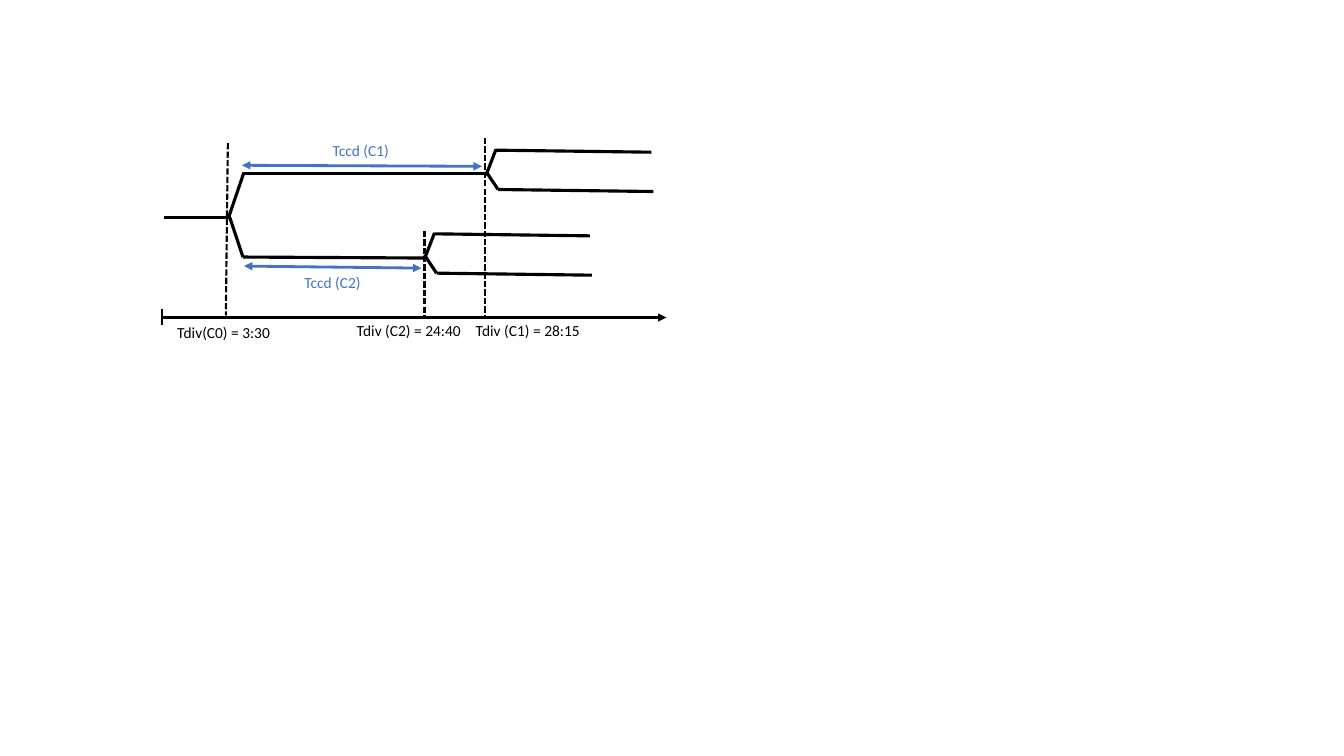
from lxml import etree
from pptx import Presentation
from pptx.dml.color import RGBColor
from pptx.enum.dml import MSO_LINE_DASH_STYLE as DASH
from pptx.enum.shapes import MSO_CONNECTOR as CONNECTOR
from pptx.enum.text import MSO_AUTO_SIZE as AUTO_SIZE
from pptx.oxml.ns import qn
from pptx.util import Inches, Pt

BLACK = RGBColor(0x00, 0x00, 0x00)
BLUE = RGBColor(0x44, 0x72, 0xC4)
BRANCH_WIDTH = 2.25
AXIS_WIDTH = 1.5
AXIS_Y = 3.15
LABEL_HEIGHT = 0.29

STEM_AND_CELLS = [
    (1.63, 2.16, 2.29, 2.16),
    (2.27, 2.15, 2.42, 1.71),
    (2.41, 2.55, 2.28, 2.16),
    (2.42, 1.72, 4.81, 1.72),
    (2.41, 2.55, 4.22, 2.56),
]
FORK_NODES = [(4.82, 1.72), (4.21, 2.55)]
FORK_OFFSETS = [
    (0, 0.02, 0.1, -0.24),
    (0.12, 0.16, 0, -0.02),
    (0.1, -0.23, 1.64, -0.21),
    (0.12, 0.16, 1.66, 0.18),
]
CYCLE_SPANS = [(2.42, 2.64, 4.18, 2.66), (2.4, 1.64, 4.78, 1.65)]
DIVISION_MARKS = [(2.26, 1.42, 2.24), (4.21, 2.29, 4.21), (4.81, 1.37, 4.81)]
LABELS = [
    ("Tdiv(C0) = 3:30", 1.66, 3.16, 1.16, BLACK, True),
    ("Tdiv (C2) = 24:40", 3.44, 3.14, 1.26, BLACK, True),
    ("Tdiv (C1) = 28:15", 4.62, 3.14, 1.26, BLACK, False),
    ("Tccd (C2)", 2.92, 2.66, 0.78, BLUE, False),
    ("Tccd (C1)", 3.2, 1.35, 0.78, BLUE, False),
]


def add_line(slide, points, width, color=BLACK, dash=None, arrows=()):
    connector = slide.shapes.add_connector(
        CONNECTOR.STRAIGHT, *(Inches(value) for value in points))
    connector.line.color.rgb = color
    connector.line.width = Pt(width)
    if dash:
        connector.line.dash_style = dash
    properties = connector._element.spPr
    outline = properties.find(qn("a:ln"))
    for end in arrows:
        etree.SubElement(outline, qn(f"a:{end}"), type="triangle")
    etree.SubElement(properties, qn("a:effectLst"))


def add_fork(slide, node_x, node_y):
    for x1, y1, x2, y2 in FORK_OFFSETS:
        add_line(slide, (node_x + x1, node_y + y1, node_x + x2, node_y + y2),
                 BRANCH_WIDTH)


def add_label(slide, text, left, top, width, color, wraps):
    box = slide.shapes.add_textbox(
        Inches(left), Inches(top), Inches(width), Inches(LABEL_HEIGHT))
    frame = box.text_frame
    frame.word_wrap = wraps
    frame.auto_size = AUTO_SIZE.SHAPE_TO_FIT_TEXT
    paragraph = frame.paragraphs[0]
    paragraph.text = text
    paragraph.font.name = "Calibri"
    paragraph.font.size = Pt(11)
    paragraph.font.color.rgb = color


def add_time_axis(slide):
    add_line(slide, (1.61, AXIS_Y, 6.61, AXIS_Y), AXIS_WIDTH, arrows=("tailEnd",))
    add_line(slide, (1.61, 3.07, 1.61, 3.22), AXIS_WIDTH)


def main():
    presentation = Presentation()
    presentation.slide_width = Inches(13.33)
    presentation.slide_height = Inches(7.5)
    slide = presentation.slides.add_slide(presentation.slide_layouts[6])

    for points in STEM_AND_CELLS:
        add_line(slide, points, BRANCH_WIDTH)
    for node in FORK_NODES:
        add_fork(slide, *node)
    for points in CYCLE_SPANS:
        add_line(slide, points, 2, BLUE, arrows=("headEnd", "tailEnd"))
    for label in LABELS:
        add_label(slide, *label)
    for top_x, top_y, bottom_x in DIVISION_MARKS:
        add_line(slide, (top_x, top_y, bottom_x, 3.13), AXIS_WIDTH,
                 dash=DASH.SQUARE_DOT)
    add_time_axis(slide)

    presentation.save("out.pptx")


if __name__ == "__main__":
    main()
